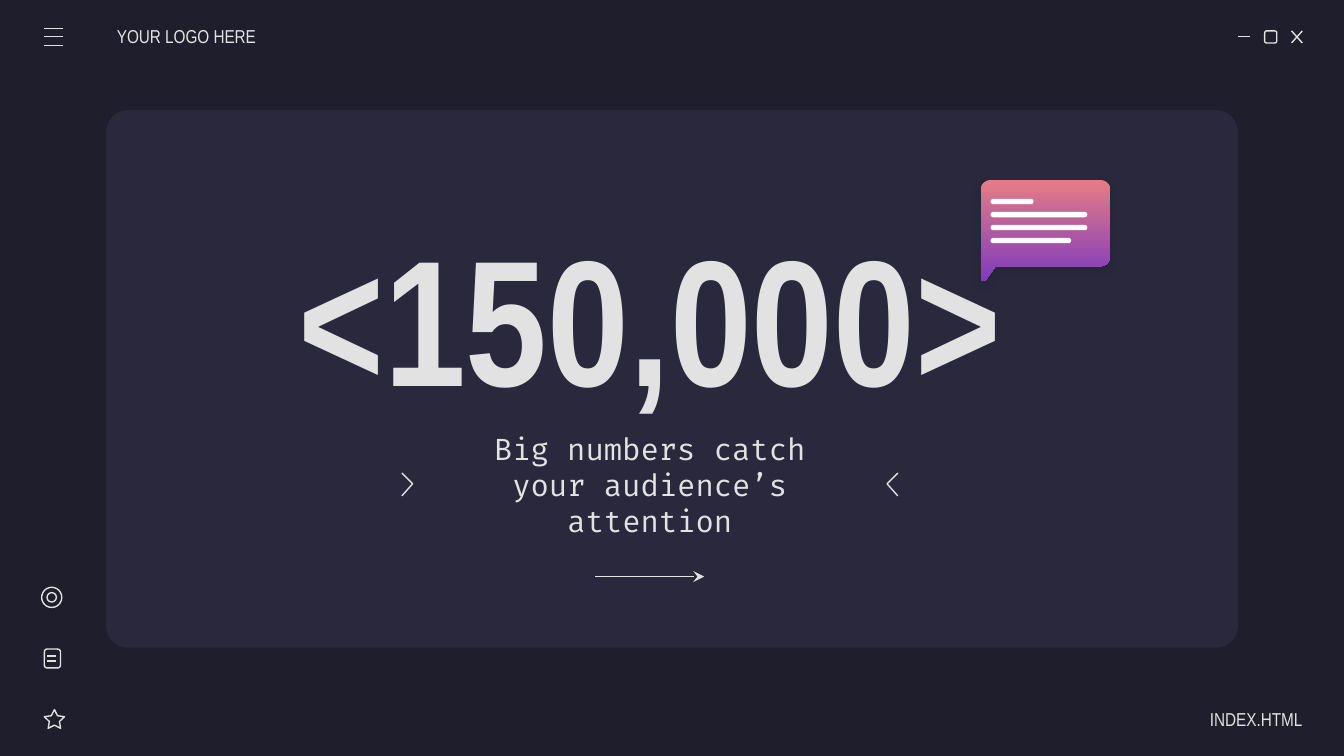
import math

import pptx
import pptx.dml.color
import pptx.enum.dml
import pptx.enum.shapes
import pptx.enum.text
import pptx.oxml
import pptx.oxml.ns
import pptx.util
from pptx.util import Inches

RGBColor = pptx.dml.color.RGBColor
SHAPE = pptx.enum.shapes.MSO_SHAPE
ALIGN = pptx.enum.text.PP_ALIGN

BACKGROUND = RGBColor(0x1E, 0x1E, 0x2C)
PANEL = RGBColor(0x29, 0x28, 0x3D)
LIGHT = RGBColor(0xE2, 0xE2, 0xE2)
WHITE = RGBColor(0xFF, 0xFF, 0xFF)
CORAL = RGBColor(0xE5, 0x7C, 0x85)
PURPLE = RGBColor(0x7E, 0x3B, 0xBE)

NARROW = "Arial Narrow"
MONO = "Fira Code"

BIG_NUMBER = "<150,000>"
CAPTION = "Big numbers catch your audience’s attention"
# text, left, top, alignment, left inset, right inset
LABELS = [
    ("YOUR LOGO HERE", 0.87, 0.12, ALIGN.LEFT, 0, 0.1),
    ("INDEX.HTML", 8.52, 5.2, ALIGN.RIGHT, 0.1, 0),
]

PANEL_BOX = (0.79, 0.82, 8.42, 4.0)
WINDOW_LINES = [
    (9.21, 0.27, 9.3, 0.27),
    (9.61, 0.23, 9.69, 0.32),
    (9.69, 0.23, 9.61, 0.32),
]
WINDOW_OUTLINES = [(SHAPE.ROUNDED_RECTANGLE, (9.41, 0.23, 0.09, 0.09), 0.17)]
MENU_LINES = [(0.33, y, 0.47, y) for y in (0.21, 0.27, 0.34)]
SIDEBAR_LINES = [(0.35, y, 0.42, y) for y in (4.88, 4.92)]
SIDEBAR_OUTLINES = [
    (SHAPE.STAR_5_POINT, (0.33, 5.28, 0.15, 0.14), 0.25),
    (SHAPE.ROUNDED_RECTANGLE, (0.33, 4.83, 0.12, 0.14), 0.17),
    (SHAPE.OVAL, (0.31, 4.37, 0.15, 0.15), None),
    (SHAPE.OVAL, (0.35, 4.41, 0.07, 0.07), None),
]
CHEVRONS = [
    [(2.99, 3.52), (3.07, 3.6), (2.99, 3.69)],
    [(6.68, 3.69), (6.6, 3.6), (6.68, 3.52)],
]
BUBBLE_LEFT, BUBBLE_TOP, BUBBLE_RIGHT, BUBBLE_BOTTOM = 7.3, 1.34, 8.26, 1.98
BUBBLE_RADIUS = 0.07
TAIL = [(7.41, 1.98), (7.33, 2.09), (7.31, 2.09), (7.3, 2.08)]
BAR_WIDTHS = [0.32, 0.72, 0.72, 0.6]
BAR_LEFT, BAR_TOP, BAR_LAST_TOP, BAR_HEIGHT = 7.37, 1.48, 1.77, 0.04


def add_effects(shape, content=""):
    """Replace the theme's effects with the given ones, or with none."""
    shape.element.spPr.append(pptx.oxml.parse_xml(
        f'<a:effectLst {pptx.oxml.ns.nsdecls("a")}>{content}</a:effectLst>'))


def style_line(shape):
    shape.line.color.rgb = LIGHT
    shape.line.width = pptx.util.Pt(0.75)


def add_line(shapes, x1, y1, x2, y2):
    line = shapes.add_connector(pptx.enum.shapes.MSO_CONNECTOR.STRAIGHT,
                                *map(Inches, (x1, y1, x2, y2)))
    style_line(line)
    add_effects(line)
    return line


def add_preset(shapes, preset, box, adjustment=None, fill=None):
    """Add a filled shape, or an outlined one when there is no fill."""
    shape = shapes.add_shape(preset, *map(Inches, box))
    shape.shadow.inherit = False
    if adjustment is not None:
        shape.adjustments[0] = adjustment
    if fill is None:
        shape.fill.background()
        style_line(shape)
    else:
        shape.fill.solid()
        shape.fill.fore_color.rgb = fill
        shape.line.fill.background()
    return shape


def add_path(shapes, points, close):
    first, *rest = [(Inches(x), Inches(y)) for x, y in points]
    builder = shapes.build_freeform(*first)
    builder.add_line_segments(rest, close=close)
    return builder.convert_to_shape()


def add_icons(slide, lines, outlines=()):
    group = slide.shapes.add_group_shape()
    for line in lines:
        add_line(group.shapes, *line)
    for preset, box, adjustment in outlines:
        add_preset(group.shapes, preset, box, adjustment)


def add_bubble(slide):
    group = slide.shapes.add_group_shape()
    radius = BUBBLE_RADIUS
    corners = [
        (BUBBLE_LEFT + radius, BUBBLE_TOP + radius, 180),
        (BUBBLE_RIGHT - radius, BUBBLE_TOP + radius, 270),
        (BUBBLE_RIGHT - radius, BUBBLE_BOTTOM - radius, 0),
    ]
    points = [(x + radius * math.cos(math.radians(start + turn)),
               y + radius * math.sin(math.radians(start + turn)))
              for x, y, start in corners for turn in range(0, 91, 10)]
    bubble = add_path(group.shapes, points + TAIL, close=True)
    bubble.fill.gradient()
    bubble.fill.gradient_angle = 270
    for stop, color, position in zip(bubble.fill.gradient_stops, (CORAL, PURPLE), (0, 1)):
        stop.color.rgb = color
        stop.position = position
    bubble.line.fill.background()
    add_effects(bubble, f'<a:outerShdw blurRad="{pptx.util.Pt(4.5)}" dist="{pptx.util.Pt(1.5)}" '
                        f'dir="5400000" algn="bl" rotWithShape="0"><a:srgbClr val="{BACKGROUND}">'
                        '<a:alpha val="30000"/></a:srgbClr></a:outerShdw>')
    pitch = (BAR_LAST_TOP - BAR_TOP) / (len(BAR_WIDTHS) - 1)
    for row, width in enumerate(BAR_WIDTHS):
        box = (BAR_LEFT, BAR_TOP + row * pitch, width, BAR_HEIGHT)
        add_preset(group.shapes, SHAPE.ROUNDED_RECTANGLE, box, 0.5, WHITE)


def write_text(shape, text, font, size, align, bold=False, left=0.1, right=0.1):
    frame = shape.text_frame
    frame.text = text
    frame.word_wrap = True
    frame.auto_size = pptx.enum.text.MSO_AUTO_SIZE.NONE
    frame.vertical_anchor = pptx.enum.text.MSO_ANCHOR.MIDDLE
    frame.margin_left, frame.margin_right = Inches(left), Inches(right)
    frame.margin_top = frame.margin_bottom = Inches(0.1)
    para = frame.paragraphs[0]
    para.alignment = align
    para.space_before = pptx.util.Pt(0)
    span = para.runs[0]
    span.font.name = font
    span.font.size = pptx.util.Pt(size)
    span.font.bold = bold
    span.font.color.rgb = LIGHT


def place(shape, left, top, width, height):
    shape.left, shape.top = Inches(left), Inches(top)
    shape.width, shape.height = Inches(width), Inches(height)


def main():
    deck = pptx.Presentation()
    deck.slide_width = Inches(10)
    deck.slide_height = deck.slide_width * 9 // 16
    slide = deck.slides.add_slide(deck.slide_layouts[0])
    slide.background.fill.solid()
    slide.background.fill.fore_color.rgb = BACKGROUND

    panel = add_preset(slide.shapes, SHAPE.ROUNDED_RECTANGLE, PANEL_BOX, 0.04, PANEL)
    panel.element.getparent().insert(2, panel.element)  # behind the placeholders

    title, caption = slide.placeholders
    place(title, 1.89, 1.52, 5.89, 1.64)
    write_text(title, BIG_NUMBER, NARROW, 96, ALIGN.CENTER, bold=True)
    place(caption, 3.24, 3.28, 3.19, 0.65)
    write_text(caption, CAPTION, MONO, 16, ALIGN.CENTER, left=0.15, right=0.15)
    for text, x, y, align, left, right in LABELS:
        box = slide.shapes.add_textbox(*map(Inches, (x, y, 1.17, 0.3)))
        write_text(box, text, NARROW, 10, align, left=left, right=right)

    add_icons(slide, WINDOW_LINES, WINDOW_OUTLINES)
    add_icons(slide, MENU_LINES)
    add_icons(slide, SIDEBAR_LINES, SIDEBAR_OUTLINES)
    add_bubble(slide)

    arrow = add_line(slide.shapes, 4.43, 4.29, 5.24, 4.29)
    arrow.element.spPr.find(pptx.oxml.ns.qn("a:ln")).append(pptx.oxml.parse_xml(
        f'<a:tailEnd {pptx.oxml.ns.nsdecls("a")} type="stealth"/>'))
    for points in CHEVRONS:
        chevron = add_path(slide.shapes, points, close=False)
        chevron.shadow.inherit = False
        chevron.fill.background()
        style_line(chevron)

    deck.save("out.pptx")


if __name__ == "__main__":
    main()
